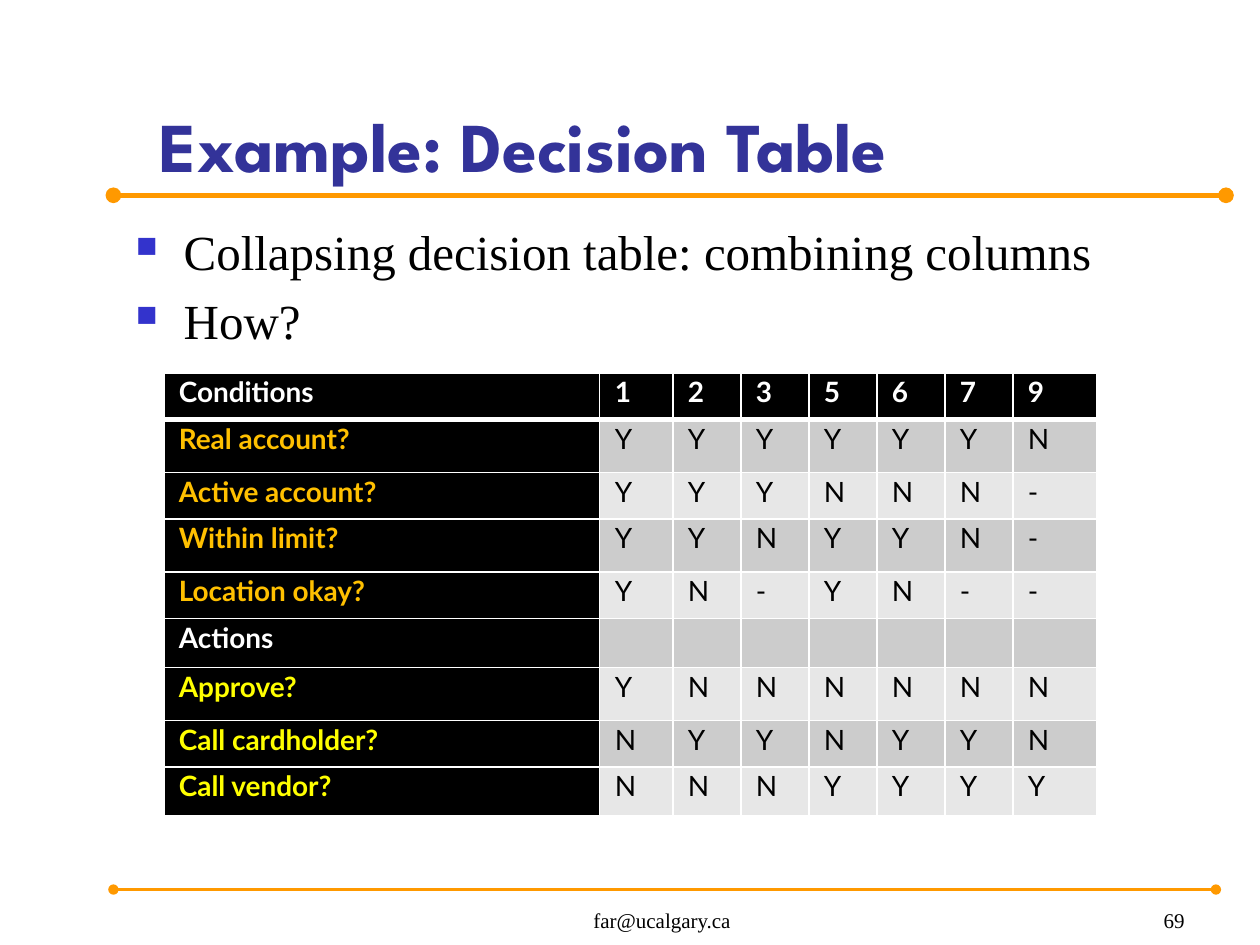
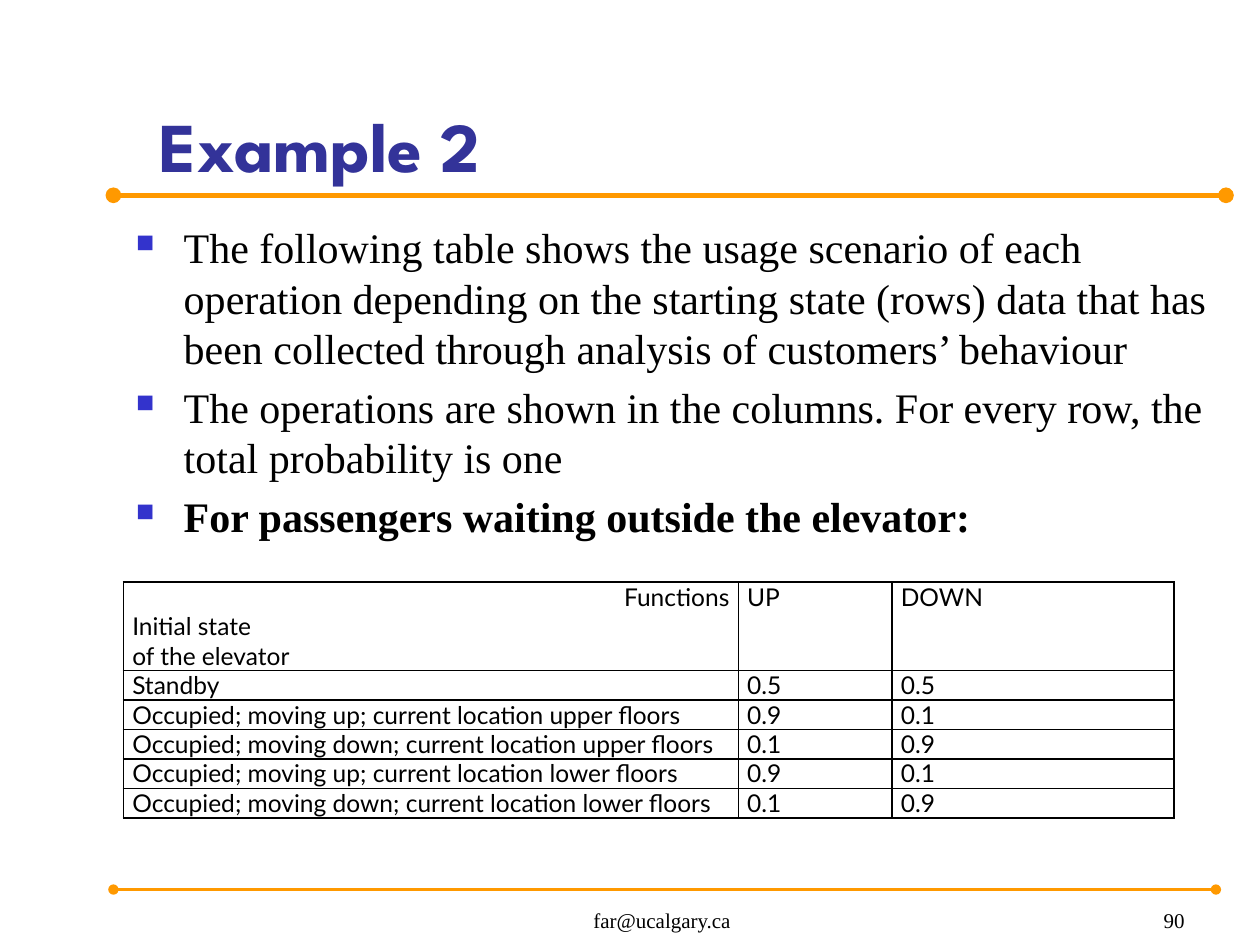
from dataclasses import dataclass

from lxml.etree import SubElement as Sub
from pptx import Presentation
from pptx.dml.color import RGBColor
from pptx.enum.shapes import MSO_CONNECTOR as Conn
from pptx.enum.text import MSO_ANCHOR as Anchor, PP_ALIGN as Align
from pptx.oxml.ns import qn
from pptx.util import Inches, Pt

# Shared look
HEAD, BODY, CELL = "League Spartan", "Times New Roman", "Lato"
BLACK, WHITE, ORANGE, NAVY, BLUE = "000000", "FFFFFF", "FF9900", "333399", "3333CC"
GOLD, YELLOW = "FFC000", "FFFF00"
BANDS = ("CCCCCC", "E7E7E7")


@dataclass
class Box:
    left: float
    top: float
    width: float
    height: float


@dataclass
class Rule:
    right: float
    y: float
    weight: float


@dataclass
class Style:
    font: str
    size: float
    color: str = BLACK
    bold: bool = False
    align: Align = Align.LEFT


@dataclass
class Grid:
    left: float
    top: float
    cols: list[float]
    rows: list[float]
    inset: tuple[float, float]


RULES = [Rule(9.73, 1.55, 3), Rule(9.65, 7.06, 1.5)]
TITLE = Box(1.17, 0.28, 8.61, 1.25)
LIST = Box(0.98, 1.71, 8.75, 4.96)
MAIL = Box(3.67, 7.01, 3.17, 0.44)
PAGE = Box(7.42, 7.01, 2.08, 0.44)


def rgb(code: str) -> RGBColor:
    return RGBColor.from_string(code)


def format_par(par, style: Style) -> None:
    par.alignment = style.align
    for run in par.runs:
        font = run.font
        font.name, font.size, font.bold = style.font, Pt(style.size), style.bold
        font.color.rgb = rgb(style.color)


def add_text(slide, box: Box, text: str, style: Style, anchor=Anchor.BOTTOM):
    shape = slide.shapes.add_textbox(
        Inches(box.left), Inches(box.top), Inches(box.width), Inches(box.height))
    frame = shape.text_frame
    frame.word_wrap = True
    frame.vertical_anchor = anchor
    frame.text = text
    for par in frame.paragraphs:
        format_par(par, style)
    return frame


def add_rule(slide, rule: Rule) -> None:
    line = slide.shapes.add_connector(
        Conn.STRAIGHT, Inches(0.9), Inches(rule.y), Inches(rule.right), Inches(rule.y))
    line.line.color.rgb = rgb(ORANGE)
    line.line.width = Pt(rule.weight)
    props = line._element.spPr
    for end in ("a:headEnd", "a:tailEnd"):
        Sub(props.find(qn("a:ln")), qn(end), type="oval")
    Sub(props, qn("a:effectLst"))


def add_list(slide, items: list[str], size: float):
    frame = add_text(slide, LIST, "\n".join(items), Style(BODY, size), Anchor.TOP)
    for rank, par in enumerate(frame.paragraphs):
        props = par._p.get_or_add_pPr()
        props.set("marL", str(Inches(0.38)))
        props.set("indent", str(Inches(-0.38)))
        Sub(Sub(props, qn("a:buClr")), qn("a:srgbClr"), val=BLUE)
        Sub(props, qn("a:buSzPct"), val="60000")
        Sub(props, qn("a:buChar"), char="■")
        if rank:
            par.space_before = Pt(size * 0.2)
    return frame


def start_slide(deck, title: str, page: int):
    slide = deck.slides.add_slide(deck.slide_layouts[6])
    for rule in RULES:
        add_rule(slide, rule)
    add_text(slide, TITLE, title, Style(HEAD, 40, NAVY, True))
    add_text(slide, MAIL, "far@ucalgary.ca", Style(BODY, 12, align=Align.CENTER))
    add_text(slide, PAGE, str(page), Style(BODY, 12, align=Align.RIGHT))
    return slide


def add_grid(slide, grid: Grid):
    table = slide.shapes.add_table(
        len(grid.rows), len(grid.cols), Inches(grid.left), Inches(grid.top),
        Inches(sum(grid.cols)), Inches(sum(grid.rows))).table
    table.first_row = table.horz_banding = False
    for col, width in zip(table.columns, grid.cols):
        col.width = Inches(width)
    for row, height in zip(table.rows, grid.rows):
        row.height = Inches(height)
    for cell in table.iter_cells():
        cell.margin_left, cell.margin_right = map(Inches, grid.inset)
        cell.margin_top = cell.margin_bottom = 0
    return table


def set_cell(cell, text: str, style: Style, spacing: float = 1.0) -> None:
    cell.text_frame.text = text
    for par in cell.text_frame.paragraphs:
        format_par(par, style)
        par.line_spacing = spacing


def set_edges(cell, color: str, top: float = 1, bottom: float = 1) -> None:
    props = cell._tc.get_or_add_tcPr()
    for side, weight in zip("LRTB", (1, 1, top, bottom)):
        edge = Sub(props, qn(f"a:ln{side}"), w=str(Pt(weight)))
        Sub(Sub(edge, qn("a:solidFill")), qn("a:srgbClr"), val=color)


# Decision table: label, label colour, one mark per rule
CHOICES = [
    ("Conditions", WHITE, "1235679"),
    ("Real account?", GOLD, "YYYYYYN"),
    ("Active account?", GOLD, "YYYNNN-"),
    ("Within limit?", GOLD, "YYNYYN-"),
    ("Location okay?", GOLD, "YN-YN--"),
    ("Actions", WHITE, ""),
    ("Approve?", YELLOW, "YNNNNNN"),
    ("Call cardholder?", YELLOW, "NYYNYYN"),
    ("Call vendor?", YELLOW, "NNNYYYY"),
]


def draw_choices(deck) -> None:
    slide = start_slide(deck, "Example: Decision Table", 69)
    add_list(slide, ["Collapsing decision table: combining columns", "How?"], 28)
    table = add_grid(slide, Grid(
        1.3, 2.96, [3.46, 0.58] + [0.54] * 5 + [0.67],
        [0.37, 0.42, 0.37, 0.42, 0.37, 0.39, 0.42, 0.37, 0.39], (0.12, 0.01)))
    for r, (label, tint, marks) in enumerate(CHOICES):
        for c, text in enumerate([label, *marks.ljust(7)]):
            cell = table.cell(r, c)
            dark = r == 0 or c == 0
            style = Style(CELL, 16, tint if dark else BLACK, dark, Align.JUSTIFY)
            set_cell(cell, text.strip(), style, 1.07)
            set_edges(cell, WHITE, 3 if r == 1 else 1, 3 if r == 0 else 1)
            cell.fill.solid()
            cell.fill.fore_color.rgb = rgb(BLACK if dark else BANDS[(r - 1) % 2])


# Usage of each lift function by starting state
USAGE = [
    ("Functions\nInitial state\nof the elevator", "UP", "DOWN"),
    ("Standby", "0.5", "0.5"),
    ("Occupied; moving up; current location upper floors", "0.9", "0.1"),
    ("Occupied; moving down; current location upper floors", "0.1", "0.9"),
    ("Occupied; moving up; current location lower floors", "0.9", "0.1"),
    ("Occupied; moving down; current location lower floors", "0.1", "0.9"),
]
POINTS = [
    "The following table shows the usage scenario of each operation depending on "
    "the starting state (rows) data that has been collected through analysis of "
    "customers’ behaviour",
    "The operations are shown in the columns. For every row, the total probability is one",
    "For passengers waiting outside the elevator:",
]


def draw_usage(deck) -> None:
    slide = start_slide(deck, "Example 2", 90)
    frame = add_list(slide, POINTS, 24)
    frame.paragraphs[-1].runs[0].font.bold = True
    table = add_grid(slide, Grid(
        0.98, 4.62, [4.88, 1.22, 2.24], [0.7] + [0.23] * 5, (0.07, 0.07)))
    for r, row in enumerate(USAGE):
        for c, text in enumerate(row):
            cell = table.cell(r, c)
            set_cell(cell, text, Style(CELL, 14, align=Align.JUSTIFY))
            set_edges(cell, BLACK)
            cell.fill.background()
    table.cell(0, 0).text_frame.paragraphs[0].alignment = Align.RIGHT


def main() -> None:
    deck = Presentation()
    deck.slide_width, deck.slide_height = Inches(10), Inches(7.5)
    draw_choices(deck)
    draw_usage(deck)
    deck.save("out.pptx")


if __name__ == "__main__":
    main()
